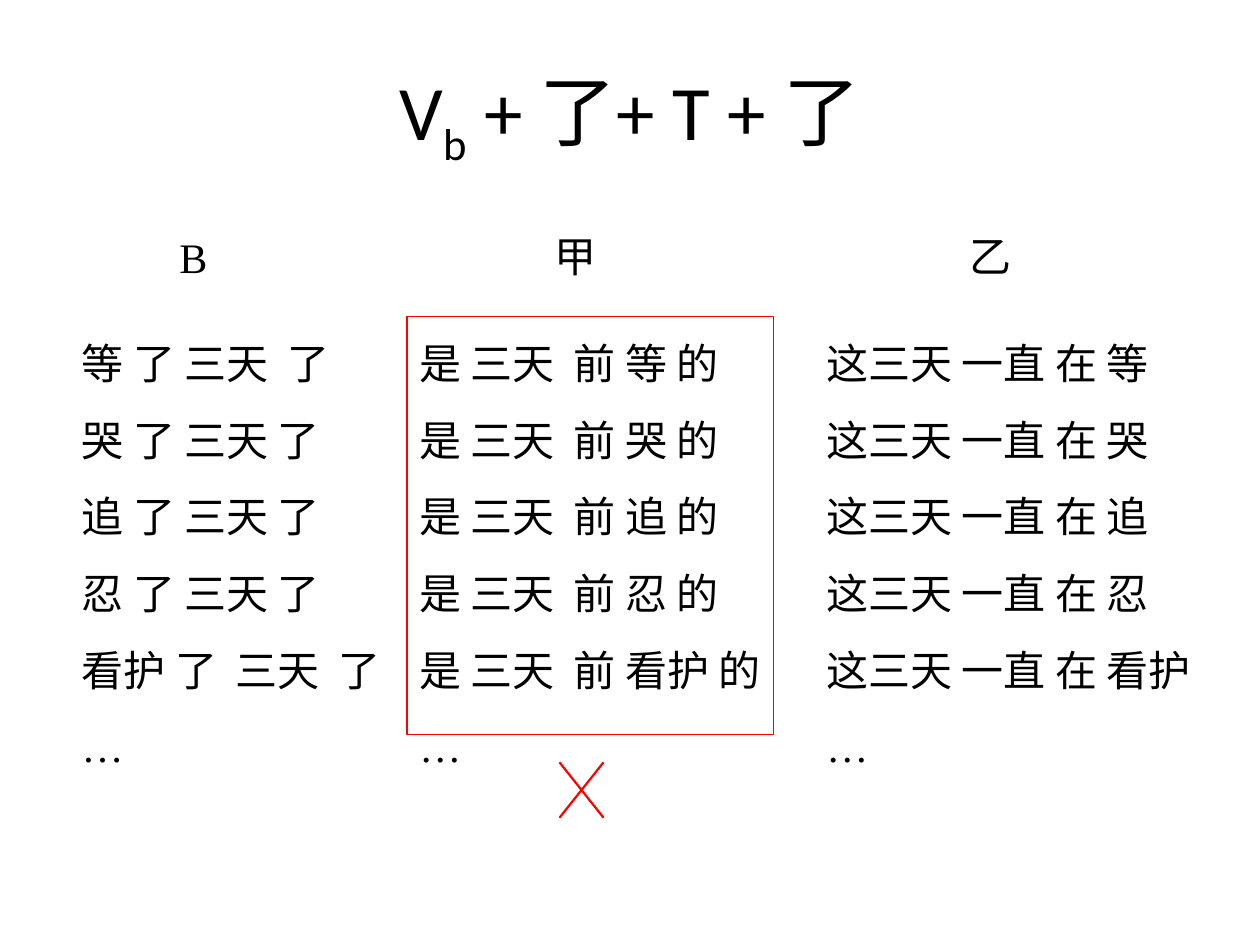
from dataclasses import dataclass

from lxml import etree
from pptx import Presentation
from pptx.dml.color import RGBColor
from pptx.enum import shapes, text
from pptx.oxml import ns
from pptx.util import Pt

BLACK, RED = "000000", "FF0000"
BODY_FONT, TITLE_FONT = "Times New Roman", "Calibri"
VERBS = ["等", "哭", "追", "忍", "看护"]


@dataclass
class TextBlock:
    left: float
    top: float
    width: float
    height: float
    lines: list[str]
    align: text.PP_ALIGN = text.PP_ALIGN.LEFT


def color(value: str) -> RGBColor:
    return RGBColor.from_string(value)


def format_run(run, font: str, size: float) -> None:
    run.font.name = font
    run.font.size = Pt(size)
    run.font.color.rgb = color(BLACK)


def add_text(page, block: TextBlock) -> None:
    box = page.shapes.add_textbox(
        Pt(block.left), Pt(block.top), Pt(block.width), Pt(block.height))
    frame = box.text_frame
    frame.word_wrap = True
    frame.auto_size = text.MSO_AUTO_SIZE.SHAPE_TO_FIT_TEXT
    frame.text = "\n".join(block.lines)
    for para in frame.paragraphs:
        para.alignment = block.align
        para.space_before = Pt(15)
        for run in para.runs:
            format_run(run, BODY_FONT, 24)


def add_line(page, x1: float, y1: float, x2: float, y2: float) -> None:
    line = page.shapes.add_connector(
        shapes.MSO_CONNECTOR.STRAIGHT, Pt(x1), Pt(y1), Pt(x2), Pt(y2))
    line.line.color.rgb = color(RED)
    line.line.width = Pt(1.25)
    etree.SubElement(line._element.spPr, ns.qn("a:effectLst"))


def add_title(page) -> None:
    title = page.shapes.title
    title.left, title.top, title.width, title.height = Pt(36), Pt(21.6), Pt(648), Pt(90)
    frame = title.text_frame
    frame.vertical_anchor = text.MSO_ANCHOR.MIDDLE
    para = frame.paragraphs[0]
    para.alignment = text.PP_ALIGN.CENTER
    for words, baseline in (("V", 0), ("b", -25000), (" + 了+ T + 了", 0)):
        run = para.add_run()
        run.text = words
        format_run(run, TITLE_FONT, 44)
        if baseline:
            run._r.get_or_add_rPr().set("baseline", str(baseline))


def main() -> None:
    deck = Presentation()
    deck.slide_width, deck.slide_height = Pt(720), Pt(540)
    page = deck.slides.add_slide(deck.slide_layouts[5])
    add_title(page)

    # Sentence columns
    aspect = ["等 了 三天  了", "哭 了 三天 了", "追 了 三天 了",
              "忍 了 三天 了", "看护 了  三天  了"]
    ago = [f"是 三天  前 {verb} 的" for verb in VERBS]
    ongoing = [f"这三天 一直 在 {verb}" for verb in VERBS]
    columns = ((39.6, 226.8, aspect), (232.6, 226.8, ago), (465.1, 244.1, ongoing))
    for left, width, lines in columns:
        add_text(page, TextBlock(left, 189.4, width, 254.9, lines + ["…"]))

    # Column headings
    for left, top, label in ((93.6, 128.9, "B"), (309.6, 128.2, "甲"), (547.2, 128.2, "乙")):
        add_text(page, TextBlock(left, top, 33.8, 36, [label], text.PP_ALIGN.CENTER))

    # Cross under the rejected column
    left, right, top, bottom = 319.7, 344.9, 435.6, 467.3
    add_line(page, left, top, right, bottom)
    add_line(page, right, top, left, bottom)

    # Frame around the rejected column
    frame = page.shapes.add_shape(
        shapes.MSO_SHAPE.RECTANGLE, Pt(232.6), Pt(180.7), Pt(209.5), Pt(239))
    frame.shadow.inherit = False
    frame.fill.background()
    frame.line.color.rgb = color(RED)
    frame.line.width = Pt(0.75)

    deck.save("out.pptx")


if __name__ == "__main__":
    main()
